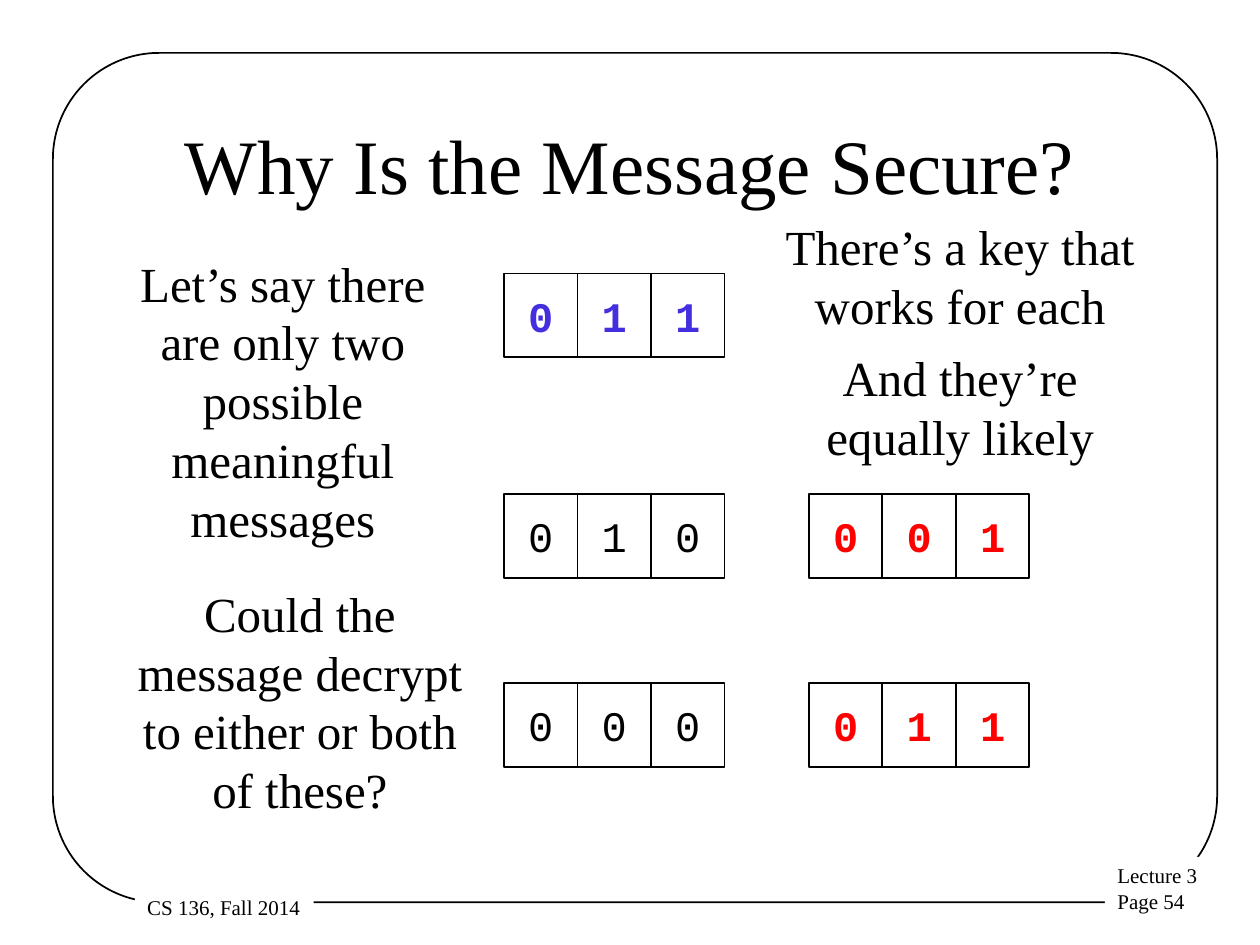
from dataclasses import dataclass

from pptx import Presentation
from pptx.dml.color import RGBColor
from pptx.enum.shapes import MSO_SHAPE
from pptx.enum.text import MSO_ANCHOR, PP_ALIGN
from pptx.util import Inches, Pt

SERIF, MONO = "Times New Roman", "Courier New"
BLACK, WHITE, BLUE, RED = "000000", "FFFFFF", "432EE0", "FF0000"
CELL_W, CELL_H = 7 / 12, 2 / 3


@dataclass
class TextBlock:
    text: str
    left: float
    top: float
    width: float
    height: float
    size: int = 28
    align: PP_ALIGN = PP_ALIGN.CENTER
    anchor: MSO_ANCHOR = MSO_ANCHOR.TOP
    fill: str = ""
    wrap: bool = True


@dataclass
class BitRow:
    bits: str
    left: float
    top: float
    color: str = BLACK
    bold: bool = False
    grouped: bool = True


def rgb(value: str) -> RGBColor:
    return RGBColor.from_string(value)


def set_text(sp, text: str, size: int, font: str, color: str = BLACK,
             bold: bool = False, align: PP_ALIGN = PP_ALIGN.CENTER) -> None:
    tf = sp.text_frame
    tf.text = text
    for p in tf.paragraphs:
        p.alignment = align
        for r in p.runs:
            r.font.name, r.font.size, r.font.bold = font, Pt(size), bold
            r.font.color.rgb = rgb(color)


def add_outlined(shapes, kind: MSO_SHAPE, left: float, top: float,
                 width: float, height: float):
    sp = shapes.add_shape(kind, Inches(left), Inches(top),
                          Inches(width), Inches(height))
    sp.shadow.inherit = False
    sp.line.color.rgb = rgb(BLACK)
    sp.line.width = Pt(1)
    return sp


def add_text(shapes, block: TextBlock) -> None:
    sp = shapes.add_textbox(Inches(block.left), Inches(block.top),
                            Inches(block.width), Inches(block.height))
    if block.fill:
        sp.fill.solid()
        sp.fill.fore_color.rgb = rgb(block.fill)
    sp.text_frame.word_wrap = block.wrap
    sp.text_frame.vertical_anchor = block.anchor
    set_text(sp, block.text, block.size, SERIF, align=block.align)


def add_bits(shapes, row: BitRow) -> None:
    target = shapes.add_group_shape().shapes if row.grouped else shapes
    for i, bit in enumerate(row.bits):
        sp = add_outlined(target, MSO_SHAPE.RECTANGLE,
                          row.left + i * CELL_W, row.top, CELL_W, CELL_H)
        sp.fill.solid()
        sp.fill.fore_color.rgb = rgb(WHITE)
        sp.text_frame.word_wrap = False
        sp.text_frame.vertical_anchor = MSO_ANCHOR.MIDDLE
        set_text(sp, bit, 24, MONO, row.color, row.bold)


LABELS = [
    TextBlock("Lecture 3\nPage 54", 8.77, 6.8, 1.27, 0.5, 12,
              PP_ALIGN.LEFT, fill=WHITE),
    TextBlock("CS 136, Fall 2014", 1.07, 7.05, 1.42, 0.3, 12,
              PP_ALIGN.LEFT, fill=WHITE, wrap=False),
]
TITLE = TextBlock("Why Is the Message Secure?", 0.75, 0.67, 8.5, 1.25, 44,
                  anchor=MSO_ANCHOR.MIDDLE)
REMARKS = [
    TextBlock("Let’s say there are only two possible meaningful messages",
              0.83, 1.96, 2.83, 2.44),
    TextBlock("Could the message decrypt to either or both of these?",
              0.92, 4.58, 2.92, 1.97),
    TextBlock("There’s a key that works for each", 6.08, 1.67, 3.08, 1.04),
    TextBlock("And they’re equally likely", 6.08, 2.71, 3.08, 1.04),
]
BIT_ROWS = [
    BitRow("011", 4, 2.17, BLUE, bold=True, grouped=False),
    BitRow("010", 4, 3.92),
    BitRow("000", 4, 5.42),
    BitRow("001", 6.42, 3.92, RED, bold=True),
    BitRow("011", 6.42, 5.42, RED, bold=True),
]


def main() -> None:
    prs = Presentation()
    prs.slide_width, prs.slide_height = Inches(10), Inches(7.5)
    s = prs.slides.add_slide(prs.slide_layouts[6])

    # Rounded frame, broken by the two footer labels
    frame = add_outlined(s.shapes, MSO_SHAPE.ROUNDED_RECTANGLE,
                         0.42, 0.42, 9.24, 6.74)
    frame.adjustments[0] = 0.125
    frame.fill.background()
    for label in LABELS:
        add_text(s.shapes, label)

    # Title, bit strings and remarks
    add_text(s.shapes, TITLE)
    for row in BIT_ROWS:
        add_bits(s.shapes, row)
    for remark in REMARKS:
        add_text(s.shapes, remark)

    prs.save("out.pptx")


if __name__ == "__main__":
    main()
